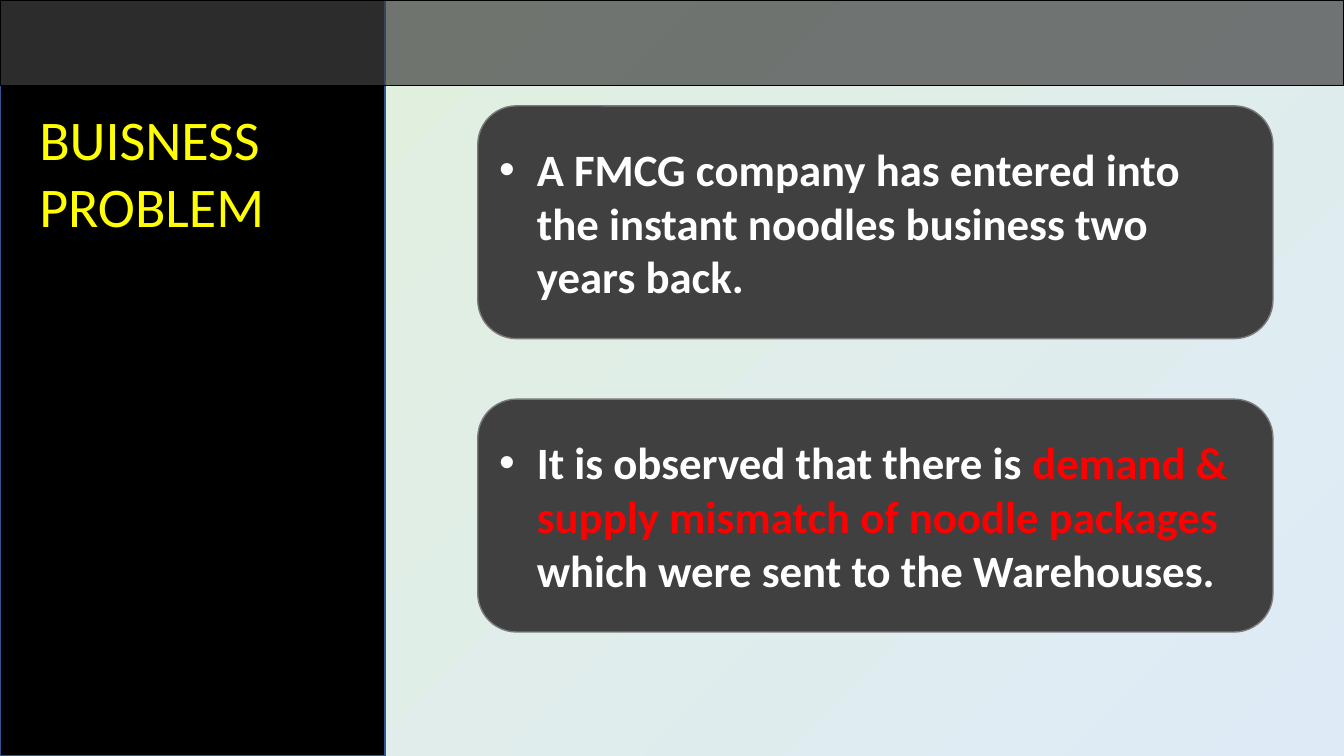
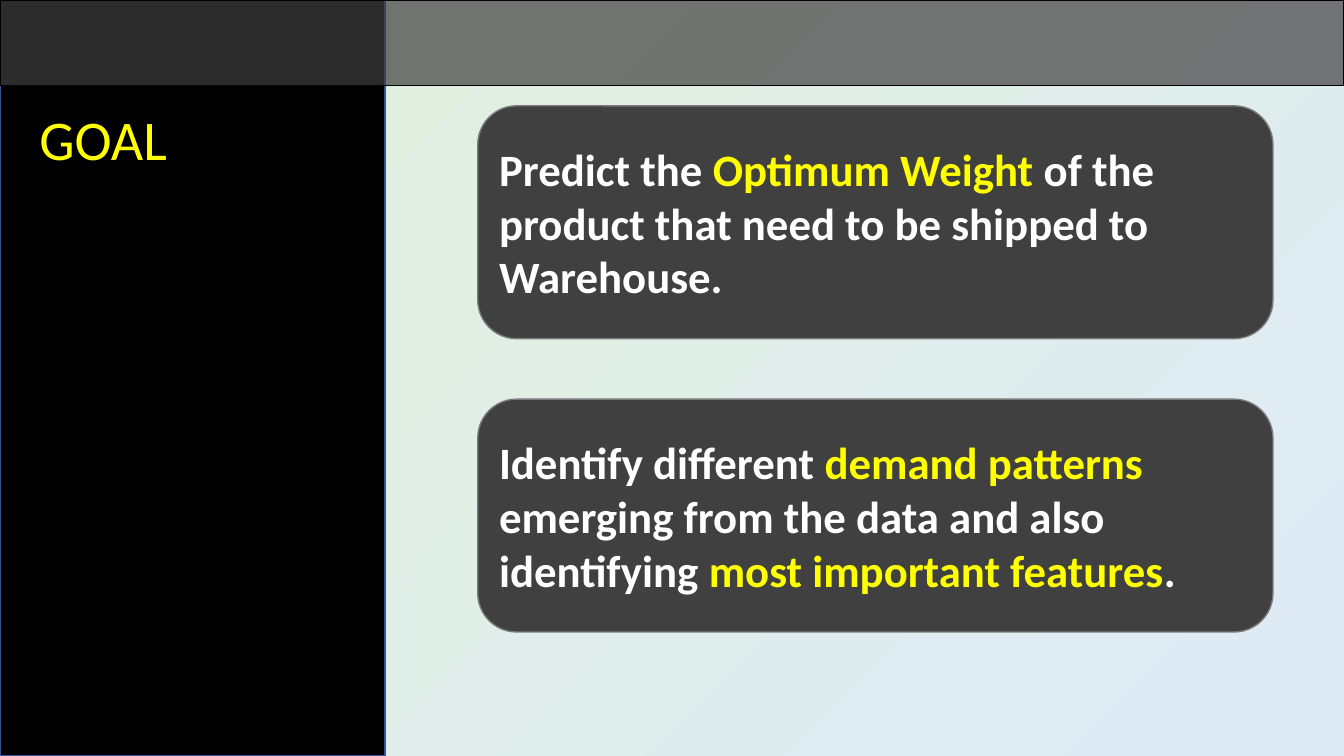
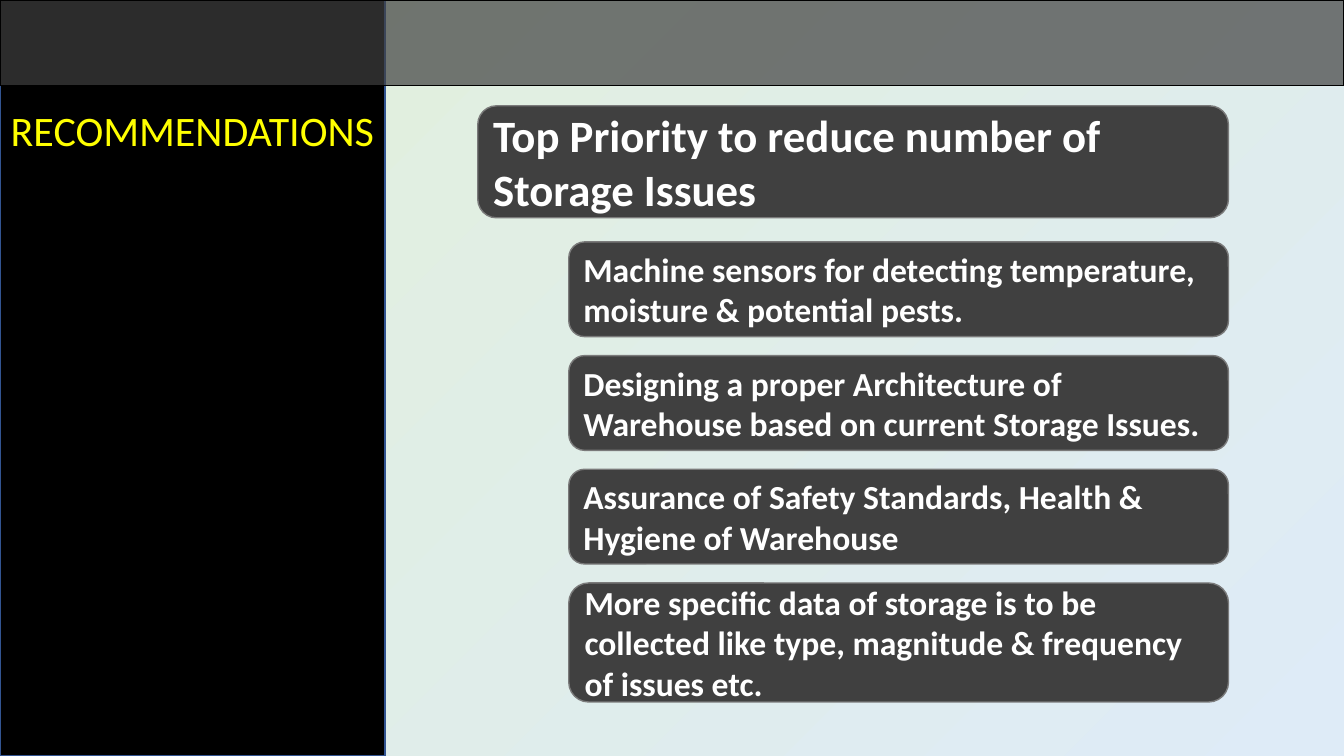
from collections import namedtuple
from dataclasses import dataclass

from lxml.etree import SubElement
from pptx import Presentation
from pptx.dml.color import RGBColor
from pptx.enum.shapes import MSO_SHAPE as Preset
from pptx.enum.text import MSO_ANCHOR as Anchor, MSO_AUTO_SIZE as AutoSize, PP_ALIGN as Align
from pptx.oxml.ns import qn
from pptx.util import Pt

Box = namedtuple("Box", "left top width height")


@dataclass(frozen=True)
class Theme:
    """Colours, type sizes and line width shared by the slides."""
    font: str = "Calibri"
    backdrop: tuple = ("E2F0D9", "DEEBF7")
    sidebar: str = "000000"
    sidebar_edge: str = "325491"
    card: str = "404040"
    card_edge: str = "7A7A7A"
    band_edge: str = "000000"
    white: str = "FFFFFF"
    yellow: str = "FFFF00"
    red: str = "FF0000"
    title_size: int = 40
    long_title_size: int = 30
    lead_size: int = 32
    detail_size: int = 24
    edge_width: int = 1
    band_opacity: int = 70
    bullet_indent: int = 27


THEME = Theme()
PAGE = Box(0, 0, 960, 540)
SIDEBAR = Box(0, 0, 275, 540)
BAND = Box(0, 0, 960, 61)
STATEMENTS = Box(341.3, 75.6, 568, 375.8)
PRIORITIES = Box(341.3, 75.6, 536.2, 425.8)


def apply(target, values):
    """Set each named attribute of the target."""
    for name, value in values.items():
        setattr(target, name, value)


def lengths(box):
    """Turn a box into point lengths."""
    return [Pt(value) for value in box]


def add_panel(shapes, preset, box, fill, edge):
    """Add a filled and outlined shape."""
    panel = shapes.add_shape(preset, *lengths(box))
    panel.shadow.inherit = False
    panel.fill.solid()
    panel.fill.fore_color.rgb = RGBColor.from_string(fill)
    panel.line.color.rgb = RGBColor.from_string(edge)
    panel.line.width = Pt(THEME.edge_width)
    return panel


def write(frame, pieces, size, bold, align=Align.LEFT):
    """Write coloured pieces of text as one paragraph."""
    paragraph = frame.paragraphs[0]
    paragraph.alignment = align
    for text, colour in pieces:
        run = paragraph.add_run()
        run.text = text
        apply(run.font, {"name": THEME.font, "size": Pt(size), "bold": bold})
        run.font.color.rgb = RGBColor.from_string(colour)
    return paragraph


def add_bullet(paragraph):
    """Give a paragraph a hanging bullet."""
    properties = paragraph._p.get_or_add_pPr()
    indent = Pt(THEME.bullet_indent)
    properties.set("marL", str(indent))
    properties.set("indent", str(-indent))
    SubElement(properties, qn("a:buFont")).set("typeface", "Arial")
    SubElement(properties, qn("a:buChar")).set("char", "•")


def add_card(slide, box, pieces, size, bulleted=False):
    """Add a rounded card with bold text."""
    card = add_panel(slide.shapes, Preset.ROUNDED_RECTANGLE, box, THEME.card, THEME.card_edge)
    apply(card.text_frame, {"word_wrap": True, "vertical_anchor": Anchor.MIDDLE})
    paragraph = write(card.text_frame, pieces, size, True)
    if bulleted:
        add_bullet(paragraph)


def add_sidebar(slide, box, title, title_height, long_title):
    """Add the black side panel with its title."""
    group = slide.shapes.add_group_shape()
    add_panel(group.shapes, Preset.RECTANGLE, box, THEME.sidebar, THEME.sidebar_edge)
    margin = 0 if long_title else 21
    size = THEME.long_title_size if long_title else THEME.title_size
    width = box.width if long_title else 227
    title_box = Box(box.left + margin, box.top + 71.3, width, title_height)
    heading = group.shapes.add_textbox(*lengths(title_box))
    apply(heading.text_frame, {"word_wrap": True, "auto_size": AutoSize.SHAPE_TO_FIT_TEXT})
    align = Align.CENTER if long_title else Align.LEFT
    write(heading.text_frame, [(title, THEME.yellow)], size, False, align)


def add_band(slide, box):
    """Add the translucent band along the top."""
    band = add_panel(slide.shapes, Preset.RECTANGLE, box, THEME.card, THEME.band_edge)
    colour = band._element.spPr.find(qn("a:solidFill"))[0]
    SubElement(colour, qn("a:alpha")).set("val", str(THEME.band_opacity * 1000))


def add_page(deck, title, title_height, long_title=False):
    """Add a slide with backdrop, sidebar and band."""
    slide = deck.slides.add_slide(deck.slide_layouts[6])
    backdrop = slide.background.fill
    backdrop.gradient()
    backdrop.gradient_angle = 315
    for stop, position, colour in zip(backdrop.gradient_stops, (0, 1), THEME.backdrop):
        stop.position = position
        stop.color.rgb = RGBColor.from_string(colour)
    add_sidebar(slide, SIDEBAR, title, title_height, long_title)
    add_band(slide, BAND)
    return slide


def add_statements(slide, box, statements, bulleted=False):
    """Stack equal statement cards in the box."""
    gap = 43.2
    height = (box.height - gap * (len(statements) - 1)) / len(statements)
    for row, pieces in enumerate(statements):
        card_box = Box(box.left, box.top + row * (height + gap), box.width, height)
        add_card(slide, card_box, pieces, THEME.lead_size, bulleted)


def add_priorities(slide, box, priority, actions):
    """Place a priority card above its indented action cards."""
    priority_height, action_height, last_height = 80, 67.7, 85
    gap, indent = 13.5, 65
    add_card(slide, box._replace(height=priority_height), [(priority, THEME.white)], THEME.lead_size)
    first_top = box.top + box.height - last_height - (len(actions) - 1) * (action_height + gap)
    for row, action in enumerate(actions):
        height = last_height if row == len(actions) - 1 else action_height
        top = first_top + row * (action_height + gap)
        action_box = Box(box.left + indent, top, box.width - indent, height)
        add_card(slide, action_box, [(action, THEME.white)], THEME.detail_size)


def main():
    """Build and save the deck."""
    deck = Presentation()
    apply(deck, {"slide_width": Pt(PAGE.width), "slide_height": Pt(PAGE.height)})
    white, yellow, red = THEME.white, THEME.yellow, THEME.red

    problem = add_page(deck, "BUISNESS PROBLEM", 152.6)
    add_statements(problem, STATEMENTS, [
        [("A FMCG company has entered into the instant noodles business two years back.", white)],
        [("It is observed that there is ", white),
         ("demand & supply mismatch of noodle packages ", red),
         ("which were sent to the Warehouses.", white)],
    ], bulleted=True)

    goal = add_page(deck, "GOAL", 55.4)
    add_statements(goal, STATEMENTS, [
        [("Predict the ", white),
         ("Optimum Weight ", yellow),
         ("of the product that need to be shipped to Warehouse.", white)],
        [("Identify different ", white),
         ("demand patterns ", yellow),
         ("emerging from the data and also identifying ", white),
         ("most important features", yellow),
         (".", white)],
    ])

    recommendations = add_page(deck, "RECOMMENDATIONS", 44, long_title=True)
    add_priorities(recommendations, PRIORITIES, "Top Priority to reduce number of Storage Issues", [
        "Machine sensors for detecting temperature, moisture & potential pests.",
        "Designing a proper Architecture of Warehouse based on current Storage Issues.",
        "Assurance of Safety Standards, Health & Hygiene of Warehouse",
        "More specific data of storage is to be collected like type, magnitude & frequency of issues etc.",
    ])

    deck.save("out.pptx")


if __name__ == "__main__":
    main()
